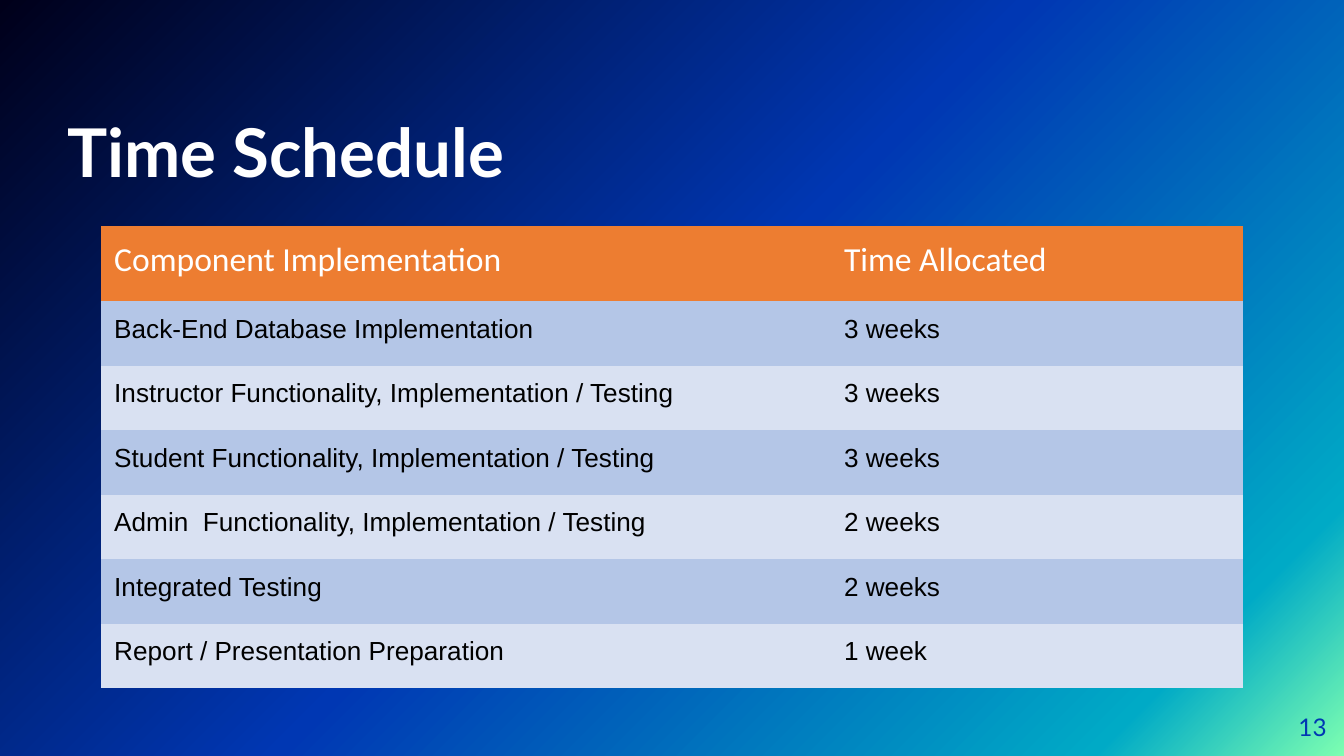
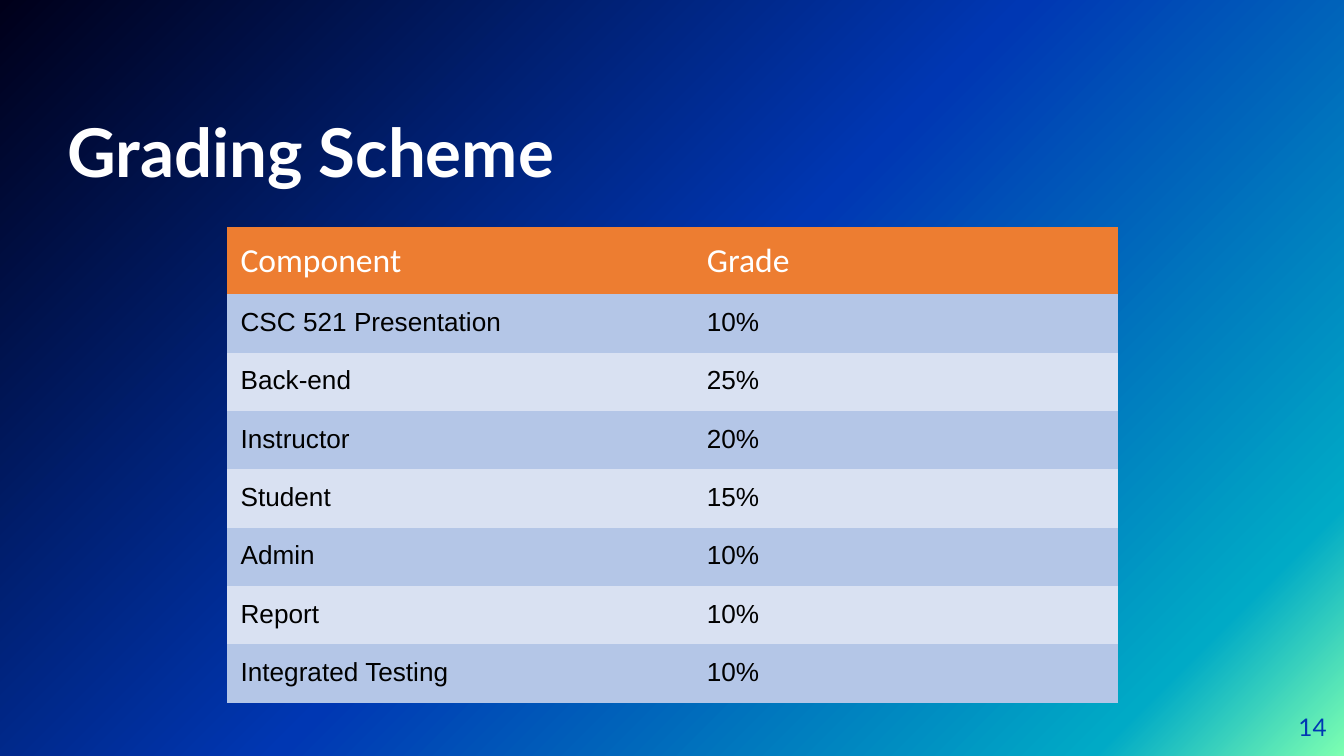
from dataclasses import dataclass

from lxml import etree
from pptx import Presentation
from pptx.dml.color import RGBColor
from pptx.enum import text
from pptx.oxml.ns import qn
from pptx.util import Inches, Pt

WHITE, BLACK, BLUE, ORANGE = "FFFFFF", "000000", "0037B3", "ED7D31"
BANDS = ("B4C6E7", "D9E1F2")
BACKDROP = ((0, "7DFFB1"), (12, "00AAC6"), (51, BLUE), (100, "00001A"))
PLAIN_TABLE = "{2D5ABB26-0587-4C30-8999-92F81FD0307C}"


@dataclass(frozen=True)
class TablePage:
    title: str
    number: int
    left: float
    top: float
    height: float
    columns: tuple[float, float]
    header_height: float
    row_height: float
    rows: tuple[tuple[str, str], ...]


PAGES = (
    TablePage("Time Schedule", 13, 0.75, 1.68, 3.46, (5.43, 3.07), 0.56, 0.48, (
        ("Component Implementation", "Time Allocated"),
        ("Back-End Database Implementation", "3 weeks"),
        ("Instructor Functionality, Implementation / Testing", "3 weeks"),
        ("Student Functionality, Implementation / Testing", "3 weeks"),
        ("Admin  Functionality, Implementation / Testing", "2 weeks"),
        ("Integrated Testing", "2 weeks"),
        ("Report / Presentation Preparation", "1 week"),
    )),
    TablePage("Grading Scheme", 14, 1.69, 1.69, 3.53, (3.47, 3.16), 0, 0, (
        ("Component", "Grade"),
        ("CSC 521 Presentation", "10%"),
        ("Back-end", "25%"),
        ("Instructor", "20%"),
        ("Student", "15%"),
        ("Admin", "10%"),
        ("Report", "10%"),
        ("Integrated Testing", "10%"),
    )),
)


def color(value: str) -> RGBColor:
    return RGBColor.from_string(value)


def write(frame, words: str, *, size: float, font: str, fill: str,
          bold: bool = False, align=text.PP_ALIGN.LEFT) -> None:
    para = frame.paragraphs[0]
    para.alignment = align
    span = para.add_run()
    span.text = words
    span.font.size = Pt(size)
    span.font.name = font
    span.font.bold = bold
    span.font.color.rgb = color(fill)


def add_label(page, words: str, area: tuple[float, ...], anchor, **style) -> None:
    frame = page.shapes.add_textbox(*map(Inches, area)).text_frame
    frame.word_wrap = True
    frame.vertical_anchor = anchor
    frame.margin_left = frame.margin_right = 0
    frame.margin_top = frame.margin_bottom = 0
    write(frame, words, **style)


def paint_backdrop(page) -> None:
    fill = page.background.fill
    fill.gradient()
    fill.gradient_angle = 135
    stops = next(page.element.iter(qn("a:gsLst")))
    for stop in list(stops):
        stops.remove(stop)
    for percent, value in BACKDROP:
        stop = etree.SubElement(stops, qn("a:gs"), pos=str(percent * 1000))
        etree.SubElement(stop, qn("a:srgbClr"), val=value)


def add_grid(page, content: TablePage) -> None:
    heights = [content.header_height] + [content.row_height] * (len(content.rows) - 1)
    holder = page.shapes.add_table(
        len(heights), len(content.columns), Inches(content.left), Inches(content.top),
        Inches(sum(content.columns)), Inches(content.height))
    next(holder.element.iter(qn("a:tableStyleId"))).text = PLAIN_TABLE
    table = holder.table
    table.first_row = table.horz_banding = False
    for column, width in zip(table.columns, content.columns):
        column.width = Inches(width)
    for index, (row, height, words) in enumerate(zip(table.rows, heights, content.rows)):
        row.height = Inches(height)
        if index == 0:
            band, style = ORANGE, dict(size=18, font="Calibri", fill=WHITE)
        else:
            band, style = BANDS[(index - 1) % 2], dict(size=14, font="Arial", fill=BLACK)
        for cell, entry in zip(row.cells, words):
            cell.margin_left = cell.margin_right = Inches(0.1)
            cell.margin_top = cell.margin_bottom = Inches(0.1)
            cell.fill.solid()
            cell.fill.fore_color.rgb = color(band)
            write(cell.text_frame, entry, **style)
    holder.height = Inches(content.height)


def add_page(deck, content: TablePage) -> None:
    page = deck.slides.add_slide(deck.slide_layouts[6])
    paint_backdrop(page)
    add_label(page, content.title, (0.5, 0.48, 6.59, 0.94), text.MSO_ANCHOR.BOTTOM,
              size=36, font="Lato", fill=WHITE, bold=True)
    add_label(page, str(content.number), (9.27, 5.19, 0.6, 0.43), text.MSO_ANCHOR.MIDDLE,
              size=13, font="Lato", fill=BLUE, align=text.PP_ALIGN.RIGHT)
    add_grid(page, content)


def main() -> None:
    deck = Presentation()
    deck.slide_width = Inches(10)
    deck.slide_height = deck.slide_width * 9 // 16
    for content in PAGES:
        add_page(deck, content)
    deck.save("out.pptx")


if __name__ == "__main__":
    main()
